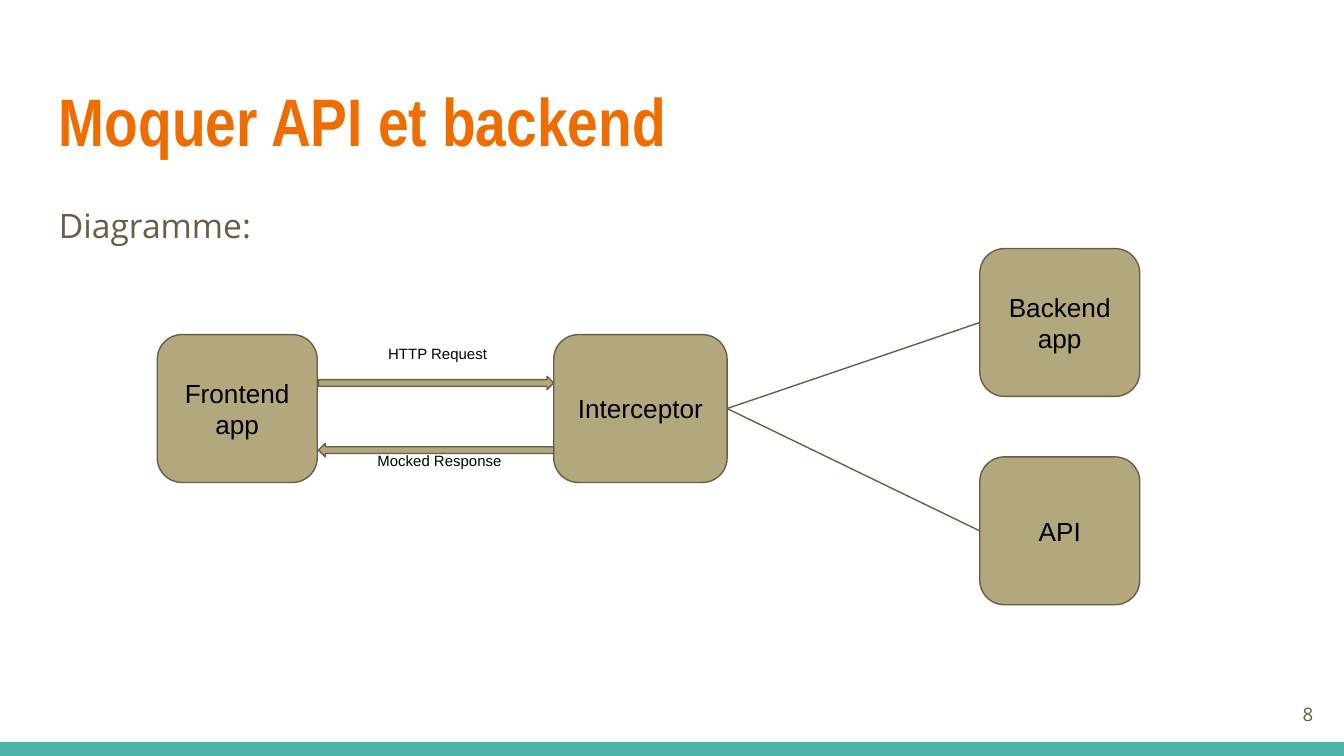
from dataclasses import dataclass

from lxml import etree
from pptx import Presentation
from pptx import util as u
from pptx.dml.color import RGBColor
from pptx.enum import shapes, text
from pptx.oxml.ns import qn

# The slide is a grid of square cells, a tenth of an inch each
COLUMNS, ROWS = 100, 56.25
CELL = u.Inches(0.1)


@dataclass(frozen=True)
class Theme:
    accent: str = "EF6C00"
    band: str = "4DB6AC"
    node: str = "B3A77D"
    muted: str = "695D46"
    ink: str = "000000"
    heading_font: str = "Arial Narrow"
    body_font: str = "Open Sans"
    diagram_font: str = "Arial"
    title_size: int = 36
    body_size: int = 18
    node_size: int = 14
    number_size: int = 10
    label_size: int = 8
    outline: float = 0.75


THEME = Theme()


def grid(*cells):
    return [round(cell * CELL) for cell in cells]


def write(frame, content, *, size, font=THEME.diagram_font, color=THEME.ink,
          bold=False, align=text.PP_ALIGN.LEFT, anchor=text.MSO_ANCHOR.TOP,
          line_spacing=None, space_after=None):
    """Put one formatted paragraph in a text frame."""
    frame.word_wrap = True
    frame.vertical_anchor = anchor
    frame.margin_left = frame.margin_right = CELL
    frame.margin_top = frame.margin_bottom = CELL
    paragraph = frame.paragraphs[0]
    paragraph.alignment = align
    paragraph.line_spacing = line_spacing
    paragraph.space_after = space_after
    run = paragraph.add_run()
    run.text = content
    run.font.size = u.Pt(size)
    run.font.name = font
    run.font.bold = bold
    run.font.color.rgb = RGBColor.from_string(color)


def add_text(slide, content, area, **style):
    box = slide.shapes.add_textbox(*grid(*area))
    write(box.text_frame, content, **style)


def add_block(slide, preset, area, fill, outline=None):
    block = slide.shapes.add_shape(preset, *grid(*area))
    block.shadow.inherit = False
    block.fill.solid()
    block.fill.fore_color.rgb = RGBColor.from_string(fill)
    if outline:
        block.line.color.rgb = RGBColor.from_string(outline)
        block.line.width = u.Pt(THEME.outline)
    else:
        block.line.fill.background()
    return block


def add_node(slide, name, left, top, width=11.9, height=11):
    node = add_block(slide, shapes.MSO_SHAPE.ROUNDED_RECTANGLE,
                     (left, top, width, height), THEME.node, THEME.muted)
    write(node.text_frame, name, size=THEME.node_size,
          align=text.PP_ALIGN.CENTER, anchor=text.MSO_ANCHOR.MIDDLE)
    return node


def add_link(slide, source, target):
    """Join the right side of one node to the left side of another."""
    left_side, right_side = 1, 3
    link = slide.shapes.add_connector(shapes.MSO_CONNECTOR.STRAIGHT, 0, 0, 0, 0)
    link.begin_connect(source, right_side)
    link.end_connect(target, left_side)
    link.line.color.rgb = RGBColor.from_string(THEME.muted)
    link.line.width = u.Pt(THEME.outline)
    etree.SubElement(link._element.spPr, qn("a:effectLst"))


def main():
    deck = Presentation()
    deck.slide_width, deck.slide_height = grid(COLUMNS, ROWS)
    slide = deck.slides.add_slide(deck.slide_layouts[6])

    # Bottom band
    band_height = 1.05
    add_block(slide, shapes.MSO_SHAPE.RECTANGLE,
              (0, ROWS - band_height, COLUMNS, band_height), THEME.band)

    # Title and introduction
    margin = 3.4
    content_width = COLUMNS - 2 * margin
    add_text(slide, "Moquer API et backend", (margin, 4.9, content_width, 7.7),
             size=THEME.title_size, font=THEME.heading_font,
             color=THEME.accent, bold=True)
    add_text(slide, "Diagramme:", (margin, 13.8, content_width, 36.1),
             size=THEME.body_size, font=THEME.body_font, color=THEME.muted,
             line_spacing=1.15, space_after=u.Pt(16))

    # Nodes
    client_row, server_column = 24.9, 72.9
    add_node(slide, "Frontend app", 11.7, client_row)
    interceptor = add_node(slide, "Interceptor", 41.2, client_row, width=12.9)
    servers = [add_node(slide, name, server_column, top)
               for name, top in (("Backend app", 18.5), ("API", 34))]

    # Exchange between the frontend and the interceptor
    for preset, top in ((shapes.MSO_SHAPE.RIGHT_ARROW, 28),
                        (shapes.MSO_SHAPE.LEFT_ARROW, 33)):
        add_block(slide, preset, (23.7, top, 17.5, 1), THEME.node, THEME.muted)
    for label, area in (("HTTP Request", (27.9, 25.3, 10.3, 1)),
                        ("Mocked Response", (27.1, 33, 11.9, 1.3))):
        add_text(slide, label, area, size=THEME.label_size)

    # Links to the servers
    for server in servers:
        add_link(slide, interceptor, server)

    # Slide number
    add_text(slide, "8", (92.7, 51, 6, 4.3), size=THEME.number_size,
             font=THEME.body_font, color=THEME.muted,
             align=text.PP_ALIGN.RIGHT, anchor=text.MSO_ANCHOR.MIDDLE)

    deck.save("out.pptx")


if __name__ == "__main__":
    main()
